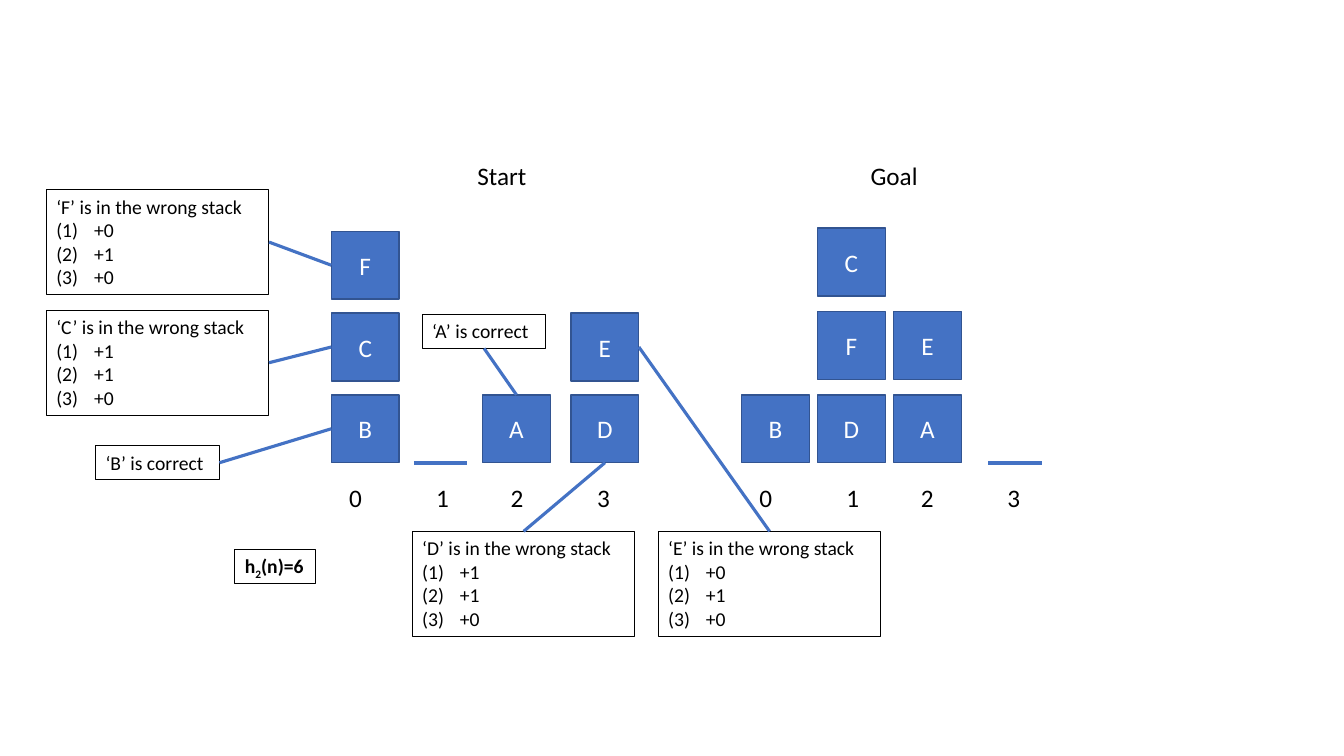
from lxml import etree
from pptx import Presentation
from pptx.dml.color import RGBColor
from pptx.enum.shapes import MSO_CONNECTOR, MSO_SHAPE
from pptx.enum.text import MSO_ANCHOR, MSO_AUTO_SIZE, PP_ALIGN
from pptx.oxml.ns import qn
from pptx.util import Cm, Pt

RECTANGLE = MSO_SHAPE.RECTANGLE
STRAIGHT = MSO_CONNECTOR.STRAIGHT
MIDDLE = MSO_ANCHOR.MIDDLE
FIT_SHAPE = MSO_AUTO_SIZE.SHAPE_TO_FIT_TEXT
CENTER = PP_ALIGN.CENTER
TOP, LEFT, BOTTOM, RIGHT = range(4)  # connection sites of a rectangle

COLORS = {"block": "4472C4", "edge": "325491", "ink": "000000", "paper": "FFFFFF"}
FONT = "Calibri"
BLOCK = 1.71
LABEL_OFFSETS = (0.2, 2.39, 4.27, 6.45)
COST_INDENT = Cm(0.95)


def color(name):
    return RGBColor.from_string(COLORS[name])


def add_span(para, text, size, ink="ink", bold=False):
    span = para.add_run()
    span.text = text
    span.font.name = FONT
    span.font.size = Pt(size)
    span.font.bold = bold
    span.font.color.rgb = color(ink)
    return span


def add_label(page, left, top, width, text, wrap=True):
    box = page.shapes.add_textbox(Cm(left), Cm(top), Cm(width), Cm(1.03))
    box.text_frame.word_wrap = wrap
    add_span(box.text_frame.paragraphs[0], text, 18)


def add_block(page, left, top, letter):
    block = page.shapes.add_shape(RECTANGLE, Cm(left), Cm(top), Cm(BLOCK), Cm(BLOCK))
    block.shadow.inherit = False
    block.fill.solid()
    block.fill.fore_color.rgb = color("block")
    block.line.color.rgb = color("edge")
    block.line.width = Pt(1)
    block.text_frame.vertical_anchor = MIDDLE
    para = block.text_frame.paragraphs[0]
    para.alignment = CENTER
    add_span(para, letter, 18, "paper")
    return block


def style_line(line, width):
    line.line.color.rgb = color("block")
    line.line.width = Pt(width)
    etree.SubElement(line._element.spPr, qn("a:effectLst"))


def draw_state(page, left, ground, title, title_offset, stacks, offsets, pitch):
    """Draw stacks, listed bottom to top, and return the blocks by letter."""
    blocks = {}
    add_label(page, left + title_offset, ground - 7.75, 1.75, title, wrap=False)
    for number, (stack, offset) in enumerate(zip(stacks, offsets)):
        for level, letter in enumerate(stack):
            top = ground - BLOCK - level * pitch
            blocks[letter] = add_block(page, left + offset, top, letter)
        if not stack:
            start = left + offset
            floor = page.shapes.add_connector(
                STRAIGHT, Cm(start), Cm(ground), Cm(start + 1.34), Cm(ground))
            style_line(floor, 3)
        add_label(page, left + LABEL_OFFSETS[number], ground + 0.38, 0.86, str(number))
    return blocks


def add_note(page, left, top, width, height=0.86):
    note = page.shapes.add_shape(RECTANGLE, Cm(left), Cm(top), Cm(width), Cm(height))
    note.shadow.inherit = False
    note.fill.background()
    note.line.color.rgb = color("ink")
    note.line.width = Pt(0.75)
    frame = note.text_frame
    frame.word_wrap = True
    frame.auto_size = FIT_SHAPE
    frame.vertical_anchor = MSO_ANCHOR.TOP
    frame.paragraphs[0].alignment = PP_ALIGN.LEFT
    return note


def add_cost(frame, cost):
    para = frame.add_paragraph()
    para.alignment = PP_ALIGN.LEFT
    props = para._p.get_or_add_pPr()
    props.set("marL", str(COST_INDENT))
    props.set("indent", str(-COST_INDENT))
    etree.SubElement(props, qn("a:buFont"), typeface="+mj-lt")
    etree.SubElement(props, qn("a:buAutoNum"), type="arabicParenBoth")
    add_span(para, f"+{cost}", 14)


def draw_callout(page, left, top, letter, costs, block, note_site, block_site):
    """Explain one block; a block without costs is already correct."""
    if costs:
        note = add_note(page, left, top, 5.61, 2.64)
        verdict = "is in the wrong stack"
    else:
        note = add_note(page, left, top, 3.12)
        verdict = "is correct"
    frame = note.text_frame
    add_span(frame.paragraphs[0], f"‘{letter}’ {verdict}", 14)
    for cost in costs:
        add_cost(frame, cost)
    leader = page.shapes.add_connector(STRAIGHT, 0, 0, 0, 0)
    leader.begin_connect(note, note_site)
    leader.end_connect(block, block_site)
    style_line(leader, 2.25)


def draw_total(page, left, top):
    note = add_note(page, left, top, 2.03)
    para = note.text_frame.paragraphs[0]
    add_span(para, "h", 14, bold=True)
    subscript = add_span(para, "2", 14, bold=True)
    subscript._r.get_or_add_rPr().set("baseline", "-25000")
    add_span(para, "(n)=6", 14, bold=True)


def main():
    deck = Presentation()
    deck.slide_width, deck.slide_height = Cm(33.87), Cm(19.05)
    page = deck.slides.add_slide(deck.slide_layouts[6])

    blocks = draw_state(page, 8.38 - 0.03, 11.66, "Start", 3.43,
                        ("BCF", "", "A", "DE"), (0, 2.08, 3.81, 6.04), 2.06)
    draw_state(page, 18.69, 11.66, "Goal", 3.0,
               ("B", "DFC", "AE", ""), (0, 1.91, 3.83, 6.22), 2.1)

    callouts = (
        ("F", 1.17, 4.78, (0, 1, 0), RIGHT, LEFT),
        ("C", 1.17, 7.82, (1, 1, 0), RIGHT, LEFT),
        ("B", 2.41, 11.23, (), RIGHT, LEFT),
        ("A", 10.64, 7.92, (), BOTTOM, TOP),
        ("D", 10.39, 13.39, (1, 1, 0), TOP, BOTTOM),
        ("E", 16.59, 13.39, (0, 1, 0), TOP, RIGHT),
    )
    for letter, left, top, costs, note_site, block_site in callouts:
        draw_callout(page, left, top, letter, costs, blocks[letter], note_site, block_site)
    draw_total(page, 5.92, 13.84)
    deck.save("out.pptx")


if __name__ == "__main__":
    main()
